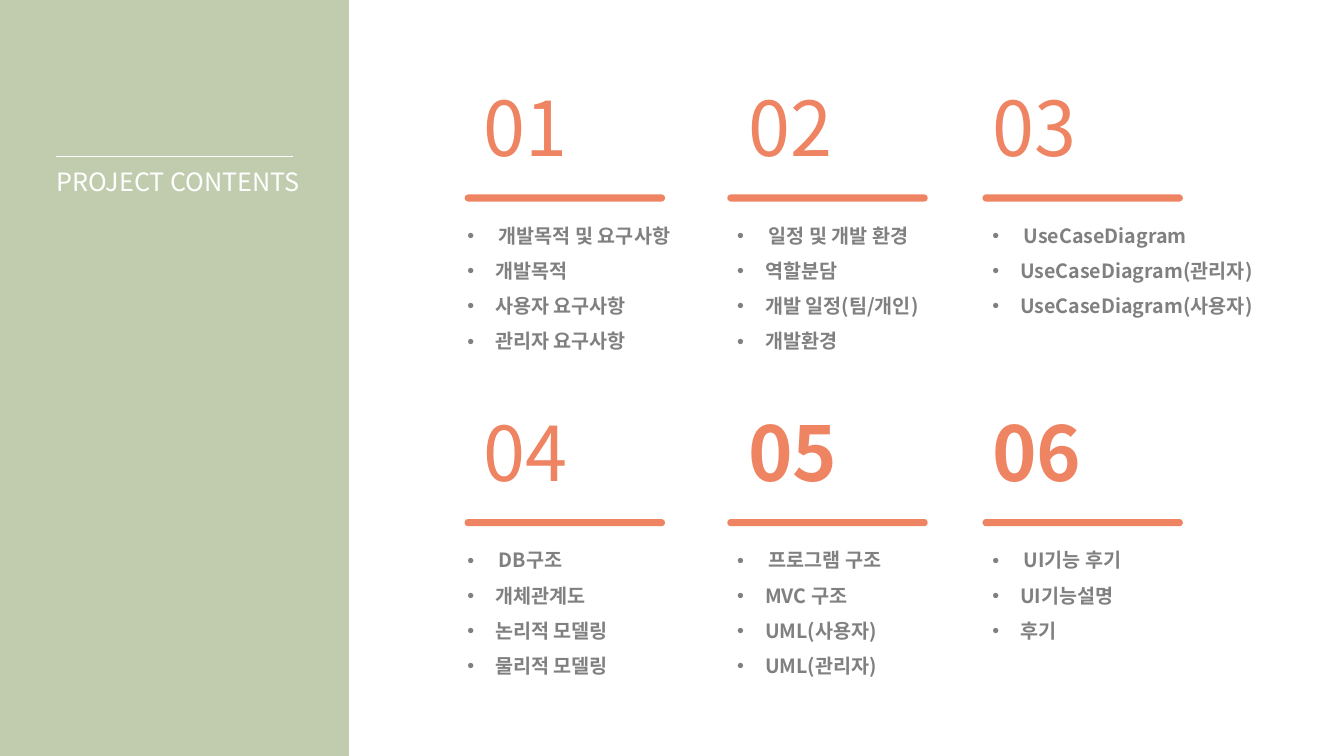
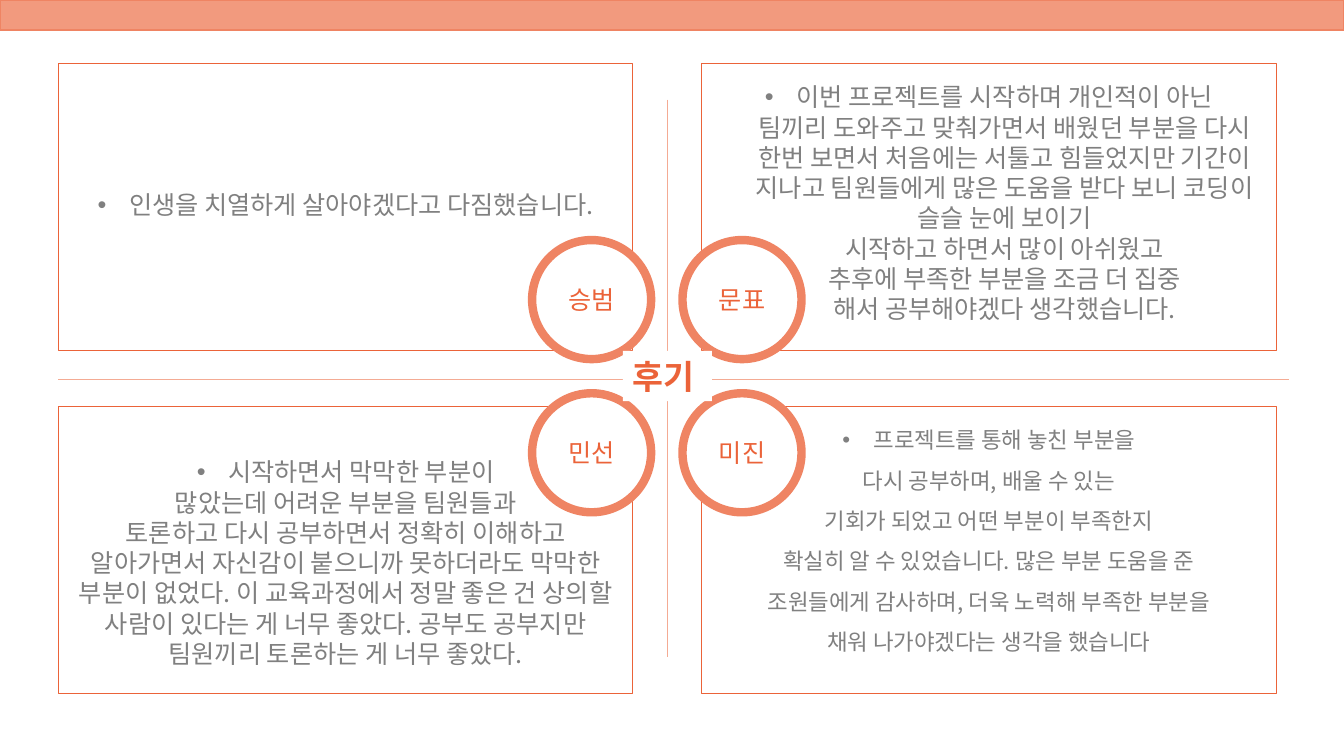
import itertools

import lxml.etree
import pptx
import pptx.dml.color
import pptx.enum.shapes
import pptx.enum.text
import pptx.oxml.ns
import pptx.util

Cm = pptx.util.Cm
Pt = pptx.util.Pt
RGBColor = pptx.dml.color.RGBColor
SHAPE = pptx.enum.shapes.MSO_SHAPE
ALIGN = pptx.enum.text.PP_ALIGN
ANCHOR = pptx.enum.text.MSO_ANCHOR
qn = pptx.oxml.ns.qn

SAGE = RGBColor(0xC1, 0xCC, 0xAE)
CORAL = RGBColor(0xEF, 0x84, 0x63)
DEEP_CORAL = RGBColor(0xEB, 0x63, 0x39)
LIGHT_CORAL = RGBColor(0xF2, 0x9A, 0x7E)
PALE_CORAL = RGBColor(0xF4, 0xAB, 0x94)
GRAY = RGBColor(0x80, 0x80, 0x80)
WHITE = RGBColor(0xFF, 0xFF, 0xFF)

FONT = "Noto Sans CJK KR"
WIDTH, HEIGHT = 33.87, 19.05

SECTION_COLUMNS = [
    {"left": 11.53, "width": 6.3, "number_dx": 0.41, "bar_dx": 0.18},
    {"left": 18.33, "width": 5.49, "number_dx": 0.28, "bar_dx": 0},
    {"left": 24.76, "width": 8.1, "number_dx": 0, "bar_dx": 0},
]
SECTION_TOPS = [2.18, 10.36]
SECTIONS = [
    ("01", False, ["개발목적 및 요구사항", "개발목적", "사용자 요구사항", "관리자 요구사항"]),
    ("02", False, ["일정 및 개발 환경", "역할분담", "개발 일정(팀/개인)", "개발환경"]),
    ("03", False, ["UseCaseDiagram", "UseCaseDiagram(관리자)", "UseCaseDiagram(사용자)"]),
    ("04", False, ["DB구조", "개체관계도", "논리적 모델링", "물리적 모델링"]),
    ("05", True, ["프로그램 구조", "MVC 구조", "UML(사용자)", "UML(관리자)"]),
    ("06", True, ["UI기능 후기", "UI기능설명", "후기"]),
]

CARD_W, CARD_H, CIRCLE = 14.48, 7.24, 3
CARD_COLUMNS = [(1.47, 11.94), (17.68, -0.48)]
CARD_ROWS = [(1.6, 4.45), (10.24, -0.33)]
REVIEWS = [
    ("승범", 3.18, 18, 1, ["인생을 치열하게 살아야겠다고 다짐했습니다."]),
    ("문표", 0.46, 18, 1, [
        "이번 프로젝트를 시작하며 개인적이 아닌\v팀끼리 도와주고 맞춰가면서 배웠던 부분을 다시 "
        "한번 보면서 처음에는 서툴고 힘들었지만 기간이 지나고 팀원들에게 많은 도움을 받다 보니 "
        "코딩이 슬슬 눈에 보이기\v시작하고 하면서 많이 아쉬웠고\v"
        "추후에 부족한 부분을 조금 더 집중\v해서 공부해야겠다 생각했습니다."]),
    ("민선", 1.27, 18, 1, [
        "시작하면서 막막한 부분이",
        "많았는데 어려운 부분을 팀원들과",
        "토론하고 다시 공부하면서 정확히 이해하고 알아가면서 자신감이 붙으니까 못하더라도 "
        "막막한 부분이 없었다. 이 교육과정에서 정말 좋은 건 상의할 사람이 있다는 게 너무 좋았다. "
        "공부도 공부지만 팀원끼리 토론하는 게 너무 좋았다."]),
    ("미진", 0.51, 16, 1.5, [
        "프로젝트를 통해 놓친 부분을",
        "다시 공부하며, 배울 수 있는",
        "기회가 되었고 어떤 부분이 부족한지",
        "확실히 알 수 있었습니다. 많은 부분 도움을 준",
        "조원들에게 감사하며, 더욱 노력해 부족한 부분을",
        "채워 나가야겠다는 생각을 했습니다"]),
]


def apply(obj, values):
    for name, value in values.items():
        setattr(obj, name, value)


def add_box(slide, kind, left, top, width, height, fill=None, line=None, weight=1):
    sp = slide.shapes.add_shape(kind, Cm(left), Cm(top), Cm(width), Cm(height))
    sp.shadow.inherit = False
    if fill is None:
        sp.fill.background()
    else:
        sp.fill.solid()
        sp.fill.fore_color.rgb = fill
    if line is None:
        sp.line.fill.background()
    else:
        sp.line.color.rgb = line
        sp.line.width = Pt(weight)
    return sp


def add_line(slide, x1, y1, x2, y2, color, weight):
    cn = slide.shapes.add_connector(
        pptx.enum.shapes.MSO_CONNECTOR.STRAIGHT, Cm(x1), Cm(y1), Cm(x2), Cm(y2))
    cn.line.color.rgb = color
    cn.line.width = Pt(weight)
    lxml.etree.SubElement(cn._element.spPr, qn("a:effectLst"))


def add_bullet(p, indent):
    pPr = p._p.get_or_add_pPr()
    pPr.set("marL", str(Cm(indent)))
    pPr.set("indent", str(-Cm(indent)))
    lxml.etree.SubElement(pPr, qn("a:buFont")).set("typeface", "Arial")
    lxml.etree.SubElement(pPr, qn("a:buChar")).set("char", "•")


def write(p, text, size, color, bold=False, bullet=None, **layout):
    if bullet:
        add_bullet(p, bullet)
    apply(p, layout)
    p.text = text
    for r in p.runs:
        apply(r.font, {"name": FONT, "size": Pt(size), "bold": bold})
        r.font.color.rgb = color
        ea = lxml.etree.SubElement(r._r.get_or_add_rPr(), qn("a:ea"))
        ea.set("typeface", FONT)


def paragraphs(tf, texts):
    for i, text in enumerate(texts):
        yield i, (tf.add_paragraph() if i else tf.paragraphs[0]), text


def add_text(slide, left, top, width, height, **frame):
    tf = slide.shapes.add_textbox(Cm(left), Cm(top), Cm(width), Cm(height)).text_frame
    apply(tf, {"word_wrap": True, **frame})
    return tf


def add_sidebar(slide, width):
    add_box(slide, SHAPE.RECTANGLE, 0, 0, width, HEIGHT, SAGE, SAGE)
    add_line(slide, 1.4, 3.94, 7.39, 3.94, WHITE, 1)
    tf = add_text(slide, 1.17, 4.14, 6.86, 0.94, vertical_anchor=ANCHOR.MIDDLE)
    write(tf.paragraphs[0], "PROJECT CONTENTS", 18, WHITE, line_spacing=0.9)


def add_section(slide, column, top, number, bold, entries):
    left = column["left"]
    tf = add_text(slide, left + column["number_dx"], top, 3.78, 2.26)
    write(tf.paragraphs[0], number, 54, CORAL, bold, line_spacing=0.9)
    bar = add_box(slide, SHAPE.ROUNDED_RECTANGLE, left + column["bar_dx"], top + 2.72,
                  5.05, 0.18, CORAL)
    bar.adjustments[0] = 0.5
    tf = add_text(slide, left, top + 3.4, column["width"], 3.2)
    for i, p, text in paragraphs(tf, entries):
        write(p, text, 14, GRAY, True, bullet=0.7 if i else 0.79,
              line_spacing=0.9, space_before=Pt(10 if i else 0))


def add_review(slide, column, row, name, inset, size, spacing, texts):
    (left, circle_dx), (top, circle_dy) = column, row
    card = add_box(slide, SHAPE.RECTANGLE, left, top, CARD_W, CARD_H,
                   line=DEEP_CORAL, weight=0.75)
    tf = card.text_frame
    apply(tf, {"word_wrap": True, "vertical_anchor": ANCHOR.TOP, "margin_top": Cm(inset)})
    for i, p, text in paragraphs(tf, texts):
        write(p, text, size, GRAY, bullet=None if i else 0.79,
              alignment=ALIGN.CENTER, line_spacing=spacing if i else 1.0)
    circle = add_box(slide, SHAPE.OVAL, left + circle_dx, top + circle_dy,
                     CIRCLE, CIRCLE, WHITE, CORAL, 6)
    apply(circle.text_frame, {"word_wrap": False, "vertical_anchor": ANCHOR.MIDDLE})
    write(circle.text_frame.paragraphs[0], name, 18, DEEP_CORAL, alignment=ALIGN.CENTER)


def add_center_label(slide, left, top, width, height):
    sp = add_box(slide, SHAPE.RECTANGLE, left, top, width, height, WHITE)
    apply(sp.text_frame, {"word_wrap": False, "vertical_anchor": ANCHOR.MIDDLE})
    write(sp.text_frame.paragraphs[0], "후기", 24, DEEP_CORAL, True, alignment=ALIGN.LEFT)


def contents_slide(slide):
    add_sidebar(slide, 8.79)
    cells = itertools.product(SECTION_TOPS, SECTION_COLUMNS)
    for (top, column), section in zip(cells, SECTIONS):
        add_section(slide, column, top, *section)


def reviews_slide(slide):
    add_box(slide, SHAPE.RECTANGLE, 0, 0, WIDTH, 0.76, LIGHT_CORAL, CORAL)
    for (row, column), review in zip(itertools.product(CARD_ROWS, CARD_COLUMNS), REVIEWS):
        add_review(slide, column, row, *review)
    add_line(slide, 16.81, 2.51, 16.81, 16.56, PALE_CORAL, 0.5)
    add_line(slide, 1.47, 9.55, 32.49, 9.55, PALE_CORAL, 0.5)
    add_center_label(slide, 15.7, 8.84, 2.24, 1.27)


def main():
    prs = pptx.Presentation()
    apply(prs, {"slide_width": Cm(WIDTH), "slide_height": Cm(HEIGHT)})
    for build in (contents_slide, reviews_slide):
        build(prs.slides.add_slide(prs.slide_layouts[6]))
    prs.save("out.pptx")


if __name__ == "__main__":
    main()
